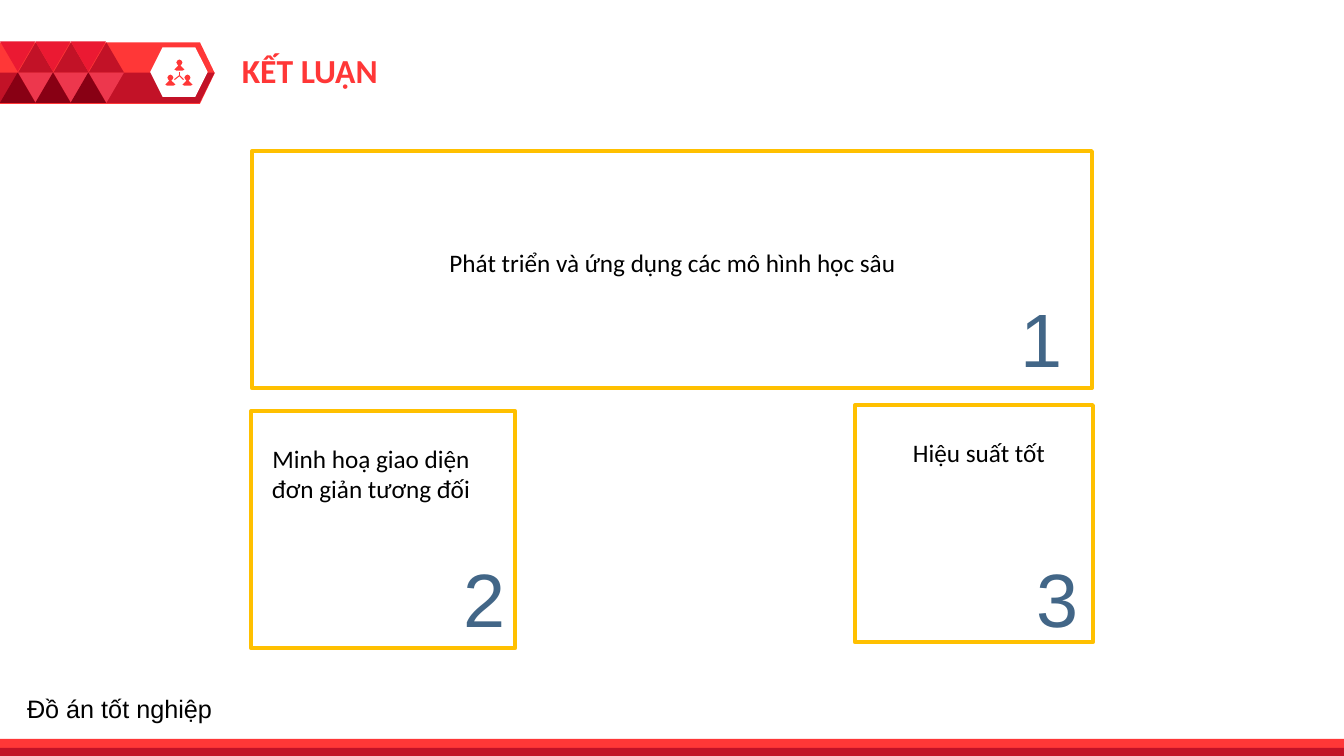
from pptx import Presentation
from pptx.dml.color import RGBColor
from pptx.enum.shapes import MSO_CONNECTOR, MSO_SHAPE as SHAPE
from pptx.enum.text import PP_ALIGN as ALIGN
from pptx.oxml.ns import qn
from pptx.util import Inches, Pt
from lxml.etree import SubElement

# Content
TITLE = "KẾT LUẬN"
FOOTER = "Đồ án tốt nghiệp"
CARDS = [  # frame, caption box, caption, number, number position
    ((2.49, 4.08, 2.62, 2.35), (2.58, 4.35, 2.2, 0.71),
     "Minh hoạ giao diện đơn giản tương đối", "2", (3.47, 5.43)),
    ((2.5, 1.5, 8.33, 2.35), (3.21, 2.4, 6.92, 0.4),
     "Phát triển và ứng dụng các mô hình học sâu", "1", (9, 2.85)),
    ((8.48, 4.02, 2.36, 2.35), (8.53, 4.29, 2.36, 0.4),
     "Hiệu suất tốt", "3", (9.16, 5.43)),
]

# Colours and banner geometry
RED, DARK_RED, WHITE, BLACK = "FF3737", "C21227", "FFFFFF", "000000"
GOLD, SLATE = "FFC000", "426687"
TRIANGLE_W, TRIANGLE_H = 0.35, 0.3
TRIANGLES = [  # left, top, rotation, colour
    (0, 0.41, 180, "EB1932"),
    (0.18, 0.42, 0, DARK_RED),
    (0.18, 0.72, 180, "ED374D"),
    (0, 0.72, 0, "880014"),
]
BANNER_SHADE = [(0, 0.72), (2.13, 0.72), (1.98, 1.02), (0, 1.02)]
PEOPLE = [(1.78, 0.59), (1.69, 0.74), (1.86, 0.74)]
PERSON_HALF = [(0, 0), (0.02, 0.01), (0.03, 0.03), (0.02, 0.05), (0.01, 0.06),
               (0.03, 0.08), (0.05, 0.1), (0.03, 0.11), (0, 0.11)]
HUB = (1.78, 0.75)
SPOKES = [(1.78, 0.71), (1.73, 0.79), (1.82, 0.79)]

deck = Presentation()
deck.slide_width, deck.slide_height = Inches(13.33), Inches(7.5)
page = deck.slides.add_slide(deck.slide_layouts[6])


def color(value):
    return RGBColor.from_string(value)


def paint(shape, fill=None, line=None, width=3):
    shape.shadow.inherit = False
    if fill:
        shape.fill.solid()
        shape.fill.fore_color.rgb = color(fill)
    else:
        shape.fill.background()
    if line:
        shape.line.color.rgb = color(line)
        shape.line.width = Pt(width)
    else:
        shape.line.fill.background()
    return shape


def add_preset(kind, place, **style):
    shape = page.shapes.add_shape(kind, *map(Inches, place))
    return paint(shape, **style)


def add_outline(points, fill):
    corners = [(Inches(x), Inches(y)) for x, y in points]
    builder = page.shapes.build_freeform(*corners[0])
    builder.add_line_segments(corners[1:], close=True)
    return paint(builder.convert_to_shape(), fill=fill)


def add_text(text, place, size=18, font="Calibri", ink=BLACK, bold=False,
             align=ALIGN.LEFT):
    box = page.shapes.add_textbox(*map(Inches, place))
    box.text_frame.word_wrap = True
    para = box.text_frame.paragraphs[0]
    para.alignment = align
    span = para.add_run()
    span.text = text
    span.font.size, span.font.name, span.font.bold = Pt(size), font, bold
    span.font.color.rgb = color(ink)


# Banner
banner = add_preset(SHAPE.PENTAGON, (0, 0.42, 2.13, 0.61), fill=RED)
banner.adjustments[0] = 0.24
add_outline(BANNER_SHADE, DARK_RED)
badge = add_preset(SHAPE.HEXAGON, (1.49, 0.47, 0.57, 0.49), fill=WHITE)
badge.adjustments[0] = 0.25

# People icon in the badge
for head_x, head_y in PEOPLE:
    right = [(head_x + x, head_y + y) for x, y in PERSON_HALF]
    left = [(head_x - x, head_y + y) for x, y in PERSON_HALF[-2:0:-1]]
    add_outline(right + left, RED)
for tip in SPOKES:
    spoke = page.shapes.add_connector(MSO_CONNECTOR.STRAIGHT,
                                      *map(Inches, HUB + tip))
    spoke.line.color.rgb = color(RED)
    spoke.line.width = Pt(0.75)
    SubElement(spoke.element.spPr, qn("a:effectLst"))

# Triangle pattern
for column in range(3):
    for left, top, rotation, fill in TRIANGLES:
        place = (left + column * TRIANGLE_W, top, TRIANGLE_W, TRIANGLE_H)
        triangle = add_preset(SHAPE.ISOSCELES_TRIANGLE, place, fill=fill)
        triangle.rotation = rotation

# Bottom stripes
add_preset(SHAPE.RECTANGLE, (0, 7.33, 13.33, 0.16), fill=RED)
add_preset(SHAPE.RECTANGLE, (0, 7.42, 13.33, 0.08), fill=DARK_RED)

# Title, cards and footer
add_text(TITLE, (2.3, 0.45, 4.22, 0.5), size=24, ink=RED, bold=True)
for frame, caption_place, caption, number, corner in CARDS:
    add_preset(SHAPE.RECTANGLE, frame, line=GOLD)
    add_text(caption, caption_place, align=ALIGN.CENTER)
    add_text(number, (*corner, 1.64, 1.01), size=54, font="Arial", ink=SLATE,
             align=ALIGN.RIGHT)
add_text(FOOTER, (0.17, 6.83, 2.83, 0.4), font="Arial")

deck.save("out.pptx")
